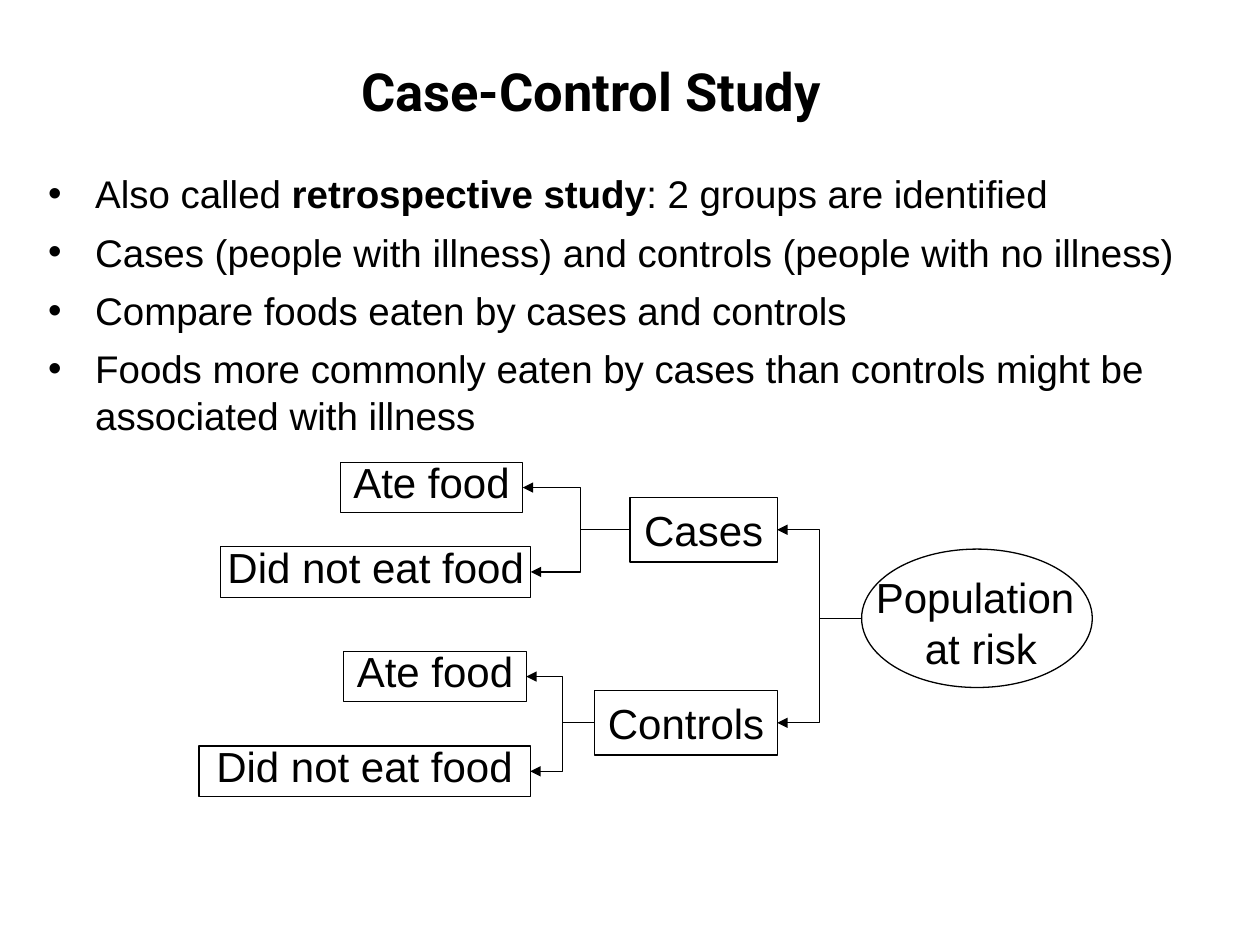
from lxml import etree
from pptx import Presentation
from pptx.dml.color import RGBColor
from pptx.enum.shapes import MSO_CONNECTOR as Link, MSO_SHAPE as Kind
from pptx.enum.text import MSO_ANCHOR as Anchor, PP_ALIGN as Align
from pptx.oxml.ns import qn
from pptx.util import Cm, Pt

INK = "000000"
PAD = 0.13


def tint(color, code):
    color.rgb = RGBColor.from_string(code)


def add_run(para, text, size, font="Arial", bold=False):
    run = para.add_run()
    run.text = text
    run.font.name = font
    run.font.size = Pt(size)
    run.font.bold = bold
    tint(run.font.color, INK)


def set_frame(frame, side, edge, anchor, wrap=True):
    frame.margin_left = frame.margin_right = Cm(side)
    frame.margin_top = frame.margin_bottom = Cm(edge)
    frame.vertical_anchor = anchor
    frame.word_wrap = wrap


def set_line(line):
    tint(line.color, INK)
    line.width = Pt(0.75)


def add_title(slide, text):
    title = slide.shapes.title
    title.left, title.top = Cm(6.35), Cm(0.58)
    title.width, title.height = Cm(11.13), Cm(2.49)
    set_frame(title.text_frame, PAD, PAD, Anchor.MIDDLE)
    para = title.text_frame.paragraphs[0]
    para.alignment = Align.CENTER
    add_run(para, text, 30, "Roboto", True)


def add_list(slide, items):
    box = slide.shapes.add_textbox(Cm(0.84), Cm(3.3), Cm(23.7), Cm(4.01))
    frame = box.text_frame
    set_frame(frame, PAD, PAD, Anchor.TOP)
    for i, item in enumerate(items):
        para = frame.add_paragraph() if i else frame.paragraphs[0]
        props = para._p.get_or_add_pPr()
        props.set("marL", str(Cm(0.95)))
        props.set("indent", str(-Cm(0.95)))
        etree.SubElement(props, qn("a:buFont"), typeface="Arial")
        etree.SubElement(props, qn("a:buChar"), char="•")
        if i:
            para.space_before = Pt(7)
        for text, bold in item:
            add_run(para, text, 22, bold=bold)


def add_shape(slide, kind, x, y, w, h):
    shape = slide.shapes.add_shape(kind, Cm(x), Cm(y), Cm(w), Cm(h))
    shape.shadow.inherit = False
    shape.fill.background()
    set_line(shape.line)
    return shape


def add_box(slide, text, x, y, w, h, tight=False):
    box = add_shape(slide, Kind.RECTANGLE, x, y, w, h)
    set_frame(box.text_frame, 0 if tight else 0.25, PAD, Anchor.MIDDLE, False)
    para = box.text_frame.paragraphs[0]
    para.alignment = Align.CENTER
    if h < 1.2:
        para.line_spacing = 0.75
    add_run(para, text, 24)
    return box


def add_origin(slide, lines):
    oval = add_shape(slide, Kind.OVAL, 17.37, 11.07, 4.65, 2.79)
    box = slide.shapes.add_textbox(Cm(17.4), Cm(11.4), Cm(4.75), Cm(2.29))
    frame = box.text_frame
    set_frame(frame, 0.25, PAD, Anchor.MIDDLE)
    for i, text in enumerate(lines):
        para = frame.add_paragraph() if i else frame.paragraphs[0]
        para.alignment = Align.CENTER
        add_run(para, text, 24)
    return oval


def add_link(slide, start, end, bend):
    x, y = start.left, start.top + start.height // 2
    tip = end.left + end.width
    link = slide.shapes.add_connector(
        Link.ELBOW, x, y, tip, end.top + end.height // 2)
    if start.auto_shape_type == Kind.RECTANGLE:
        link.begin_connect(start, 1)
    link.end_connect(end, 3)
    set_line(link.line)
    ratio = round((x - Cm(bend)) / (x - tip) * 100000)
    guides = link._element.spPr.find(qn("a:prstGeom")).get_or_add_avLst()
    etree.SubElement(guides, qn("a:gd"), name="adj1", fmla=f"val {ratio}")
    etree.SubElement(link.line._get_or_add_ln(), qn("a:tailEnd"),
                     type="triangle")
    etree.SubElement(link._element.spPr, qn("a:effectLst"))


def main():
    deck = Presentation()
    deck.slide_width, deck.slide_height = Cm(25.4), Cm(19.05)
    slide = deck.slides.add_slide(deck.slide_layouts[5])
    add_title(slide, "Case-Control Study")
    add_list(slide, [
        [("Also called ", False), ("retrospective study", True),
         (": 2 groups are identified", False)],
        [("Cases (people with illness) and controls "
          "(people with no illness)", False)],
        [("Compare foods eaten by cases and controls", False)],
        [("Foods more commonly eaten by cases than controls might be "
          "associated with illness", False)],
    ])
    root = add_origin(slide, ["Population ", "at risk"])
    cases = add_box(slide, "Cases", 12.7, 10.03, 2.97, 1.3)
    peers = add_box(slide, "Controls", 11.99, 13.92, 3.68, 1.3)
    leaves = [
        (cases, 11.71, "Ate food", 6.86, 9.32, 3.68, False),
        (cases, 11.71, "Did not eat food", 4.45, 11.02, 6.25, True),
        (peers, 11.34, "Ate food", 6.93, 13.13, 3.68, False),
        (peers, 11.34, "Did not eat food", 4.01, 15.04, 6.68, False),
    ]
    for group, bend, text, x, y, w, tight in leaves:
        leaf = add_box(slide, text, x, y, w, 1.02, tight)
        add_link(slide, group, leaf, bend)
    for group in (cases, peers):
        add_link(slide, root, group, 16.52)
    deck.save("out.pptx")


if __name__ == "__main__":
    main()
